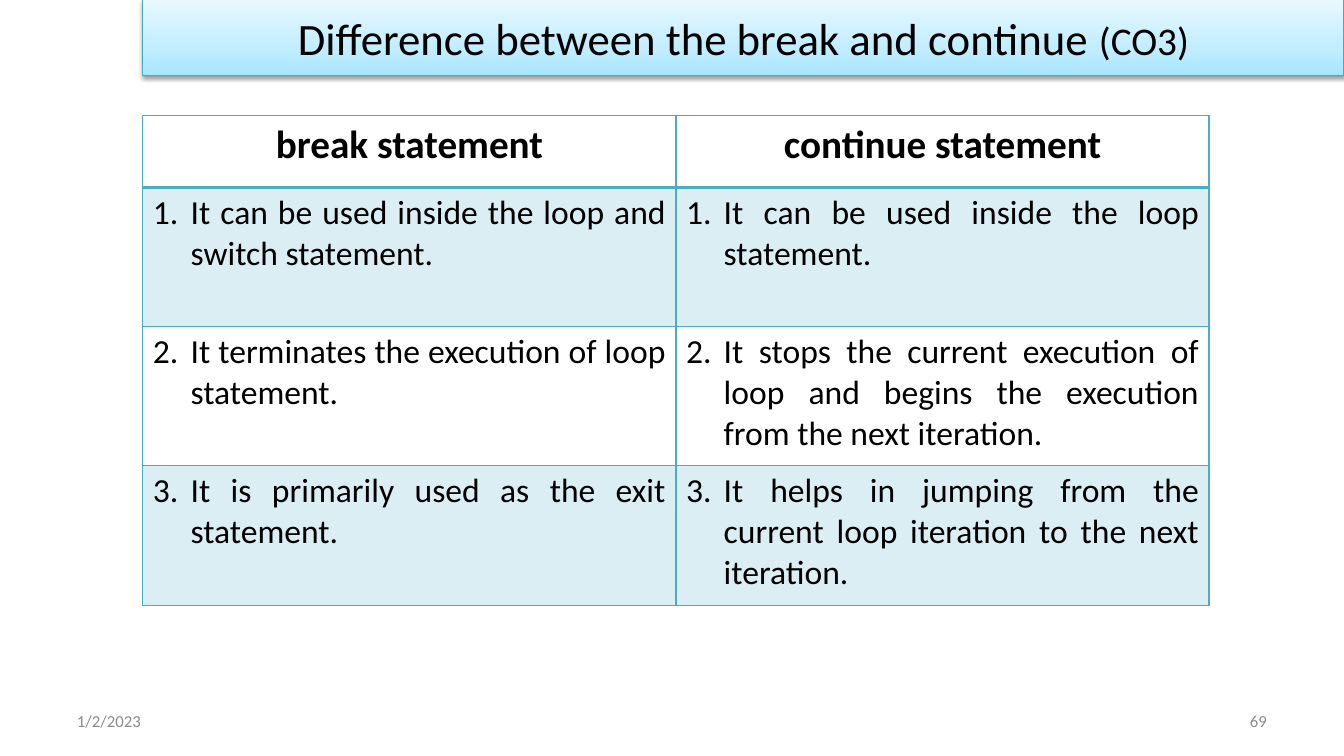
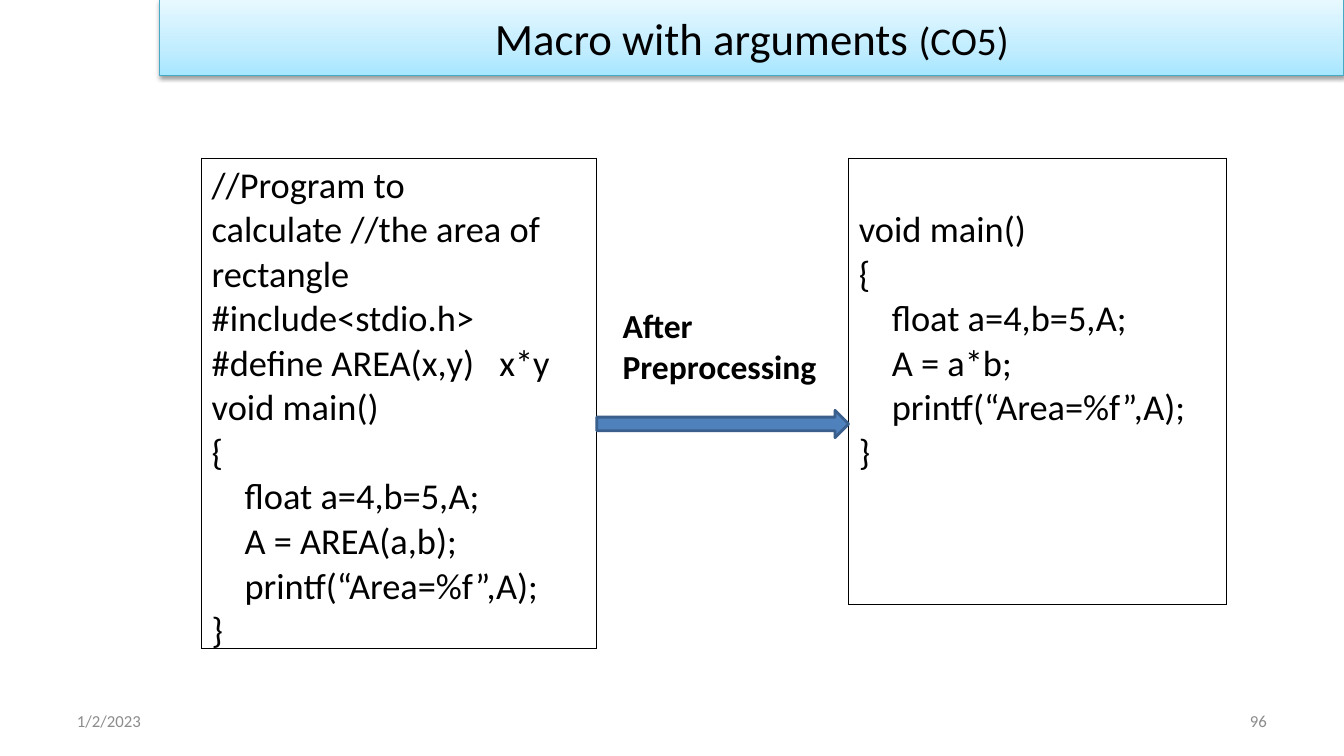
from pptx import Presentation
from pptx.dml.color import RGBColor
from pptx.enum.shapes import MSO_SHAPE
from pptx.enum.text import MSO_ANCHOR, PP_ALIGN
from pptx.oxml import parse_xml
from pptx.oxml.ns import nsdecls, qn
from pptx.util import Cm, Pt

SLIDE_WIDTH, SLIDE_HEIGHT = 33.87, 19.05
BLACK = "000000"
FOOTER_GREY = "8C8C8C"
BAND_STOPS = [(0, "A7E6FF"), (35, "C1EDFF"), (100, "E7F8FF")]
BAND_LINE = "46AAC5"
TEAL = "4BACC6"
PALE_TEAL = "DBEEF4"
ARROW_FILL, ARROW_LINE = "4F81BD", "3A5F8C"


def rgb(value):
    return RGBColor.from_string(value)


def element(tag, attributes="", content=""):
    """Build one DrawingML element."""
    return parse_xml(f"<a:{tag} {nsdecls('a')} {attributes}>{content}</a:{tag}>")


def set_borders(cell, color, **widths):
    """Draw the cell's sides; widths in points are keyed L, R, T and B."""
    properties = cell._tc.get_or_add_tcPr()
    for side in "LRTB":
        properties.append(element(
            f"ln{side}", f'w="{Pt(widths.get(side, 1))}"',
            f'<a:solidFill><a:srgbClr val="{color}"/></a:solidFill>'))


def set_indent(paragraph, left, first_line=0):
    properties = paragraph._p.get_or_add_pPr()
    properties.set("marL", str(Cm(left)))
    properties.set("indent", str(Cm(first_line)))


class Deck:
    """Holds the shared style and the current slide."""

    font_name = "Calibri"
    date = "1/2/2023"

    def __init__(self):
        self.presentation = Presentation()
        self.presentation.slide_width = Cm(SLIDE_WIDTH)
        self.presentation.slide_height = Cm(SLIDE_HEIGHT)
        self.slide = None

    def style(self, paragraph, size, color=BLACK, bold=False, align=PP_ALIGN.LEFT):
        paragraph.alignment = align
        font = paragraph.font
        font.name, font.size, font.bold = self.font_name, Pt(size), bold
        font.color.rgb = rgb(color)

    def add_slide(self, title, outcome, number, band_left):
        self.slide = self.presentation.slides.add_slide(
            self.presentation.slide_layouts[6])
        margin, width = 1.69, 7.9
        self.text(self.date, margin, 17.66, width, 1.01, 12, FOOTER_GREY)
        self.text(number, SLIDE_WIDTH - margin - width, 17.66, width, 1.01, 12,
                  FOOTER_GREY, align=PP_ALIGN.RIGHT)
        self.title_band(title, outcome, band_left)

    def text(self, text, left, top, width, height, size, color=BLACK,
             bold=False, align=PP_ALIGN.LEFT, anchor=MSO_ANCHOR.MIDDLE):
        box = self.slide.shapes.add_textbox(Cm(left), Cm(top), Cm(width), Cm(height))
        frame = box.text_frame
        frame.word_wrap = True
        frame.vertical_anchor = anchor
        frame.text = text
        for paragraph in frame.paragraphs:
            self.style(paragraph, size, color, bold, align)

    def shape(self, kind, left, top, width, height):
        shape = self.slide.shapes.add_shape(
            kind, Cm(left), Cm(top), Cm(width), Cm(height))
        shape.shadow.inherit = False
        return shape

    def title_band(self, title, outcome, left):
        band = self.shape(MSO_SHAPE.RECTANGLE, left, 0, SLIDE_WIDTH - left, 1.9)
        stops = "".join(
            f'<a:gs pos="{position * 1000}"><a:srgbClr val="{color}"/></a:gs>'
            for position, color in BAND_STOPS)
        effects = band._element.spPr.find(qn("a:effectLst"))
        effects.addprevious(element(
            "gradFill", 'rotWithShape="1"',
            f'<a:gsLst>{stops}</a:gsLst><a:lin ang="16200000" scaled="0"/>'))
        effects.append(element(
            "outerShdw", 'blurRad="40000" dist="20000" dir="5400000" rotWithShape="0"',
            f'<a:srgbClr val="{BLACK}"><a:alpha val="38000"/></a:srgbClr>'))
        band.line.color.rgb = rgb(BAND_LINE)
        band.line.width = Pt(0.75)
        band.text_frame.vertical_anchor = MSO_ANCHOR.MIDDLE
        paragraph = band.text_frame.paragraphs[0]
        paragraph.add_run().text = title + " "
        outcome_run = paragraph.add_run()
        outcome_run.text = f"({outcome})"
        outcome_run.font.size = Pt(28)
        self.style(paragraph, 32, align=PP_ALIGN.CENTER)

    def arrow(self, left, top, width, height):
        arrow = self.shape(MSO_SHAPE.RIGHT_ARROW, left, top, width, height)
        arrow.fill.solid()
        arrow.fill.fore_color.rgb = rgb(ARROW_FILL)
        arrow.line.color.rgb = rgb(ARROW_LINE)
        arrow.line.width = Pt(2)

    def table(self, left, top, width, row_heights, columns):
        table = self.slide.shapes.add_table(
            len(row_heights), columns, Cm(left), Cm(top), Cm(width),
            Cm(sum(row_heights))).table
        table.first_row = table.horz_banding = False
        for row, height in zip(table.rows, row_heights):
            row.height = Cm(height)
        return table

    def comparison(self, left, top, width, headings, points):
        """Two-column table with a heading row and numbered, banded rows."""
        heights = [1.8] + [3.51] * len(points)
        table = self.table(left, top, width, heights, len(headings))
        for row, texts in enumerate([headings, *points]):
            for column, text in enumerate(texts):
                cell = table.cell(row, column)
                cell.text = text
                paragraph = cell.text_frame.paragraphs[0]
                set_borders(cell, TEAL, T=2 if row == 1 else 1, B=2 if row == 0 else 1)
                if row % 2:
                    cell.fill.solid()
                    cell.fill.fore_color.rgb = rgb(PALE_TEAL)
                else:
                    cell.fill.background()
                if row == 0:
                    self.style(paragraph, 28, bold=True, align=PP_ALIGN.CENTER)
                    continue
                set_indent(paragraph, 0.95, -0.95)
                paragraph._p.get_or_add_pPr().append(element(
                    "buAutoNum", f'type="arabicPeriod" startAt="{row}"'))
                self.style(paragraph, 24, align=PP_ALIGN.JUSTIFY)

    def code_box(self, left, top, width, height, lines, margin_top=0.13):
        """Framed program text; statements are indented."""
        cell = self.table(left, top, width, [height], 1).cell(0, 0)
        cell.margin_top = Cm(margin_top)
        set_borders(cell, BLACK)
        cell.fill.background()
        cell.text = "\n".join(lines)
        for line, paragraph in zip(lines, cell.text_frame.paragraphs):
            if line.endswith(";"):
                set_indent(paragraph, 0.83)
            if "\t" in line:
                paragraph._p.get_or_add_pPr().append(element(
                    "tabLst", content=f'<a:tab pos="{Cm(7.25)}" algn="l"/>'))
            self.style(paragraph, 26)


def main():
    deck = Deck()

    deck.add_slide("Difference between the break and continue", "CO3", "69", 3.6)
    deck.comparison(
        3.6, 2.92, 26.87, ("break statement", "continue statement"),
        [("It can be used inside the loop and switch statement.",
          "It can be used inside the loop statement."),
         ("It terminates the execution of loop statement.",
          "It stops the current execution of loop and begins the execution "
          "from the next iteration."),
         ("It is primarily used as the exit statement.",
          "It helps in jumping from the current loop iteration to the next "
          "iteration.")])

    deck.add_slide("Macro with arguments", "CO5", "96", 4.02)
    source_left, source_width, result_left = 5.08, 9.96, 21.39
    box_top, box_height = 3.99, 11.25
    source_right = source_left + source_width
    opening = ["void main()", "{", "float a=4,b=5,A;"]
    closing = ["printf(“Area=%f”,A);", "}"]
    deck.code_box(
        source_left, box_top, source_width, box_height,
        ["//Program to calculate //the area of rectangle", "#include<stdio.h>",
         "#define AREA(x,y)\tx*y", *opening, "A = AREA(a,b);", *closing])
    deck.code_box(result_left, box_top, 9.52, box_height,
                  [*opening, "A = a*b;", *closing], margin_top=1.25)
    deck.arrow(source_right, 10.34, result_left - source_right, 0.69)
    deck.text("After\nPreprocessing", 15.44, 7.57, 5.51, 2.31, 24, bold=True,
              anchor=MSO_ANCHOR.TOP)

    deck.presentation.save("out.pptx")


if __name__ == "__main__":
    main()
